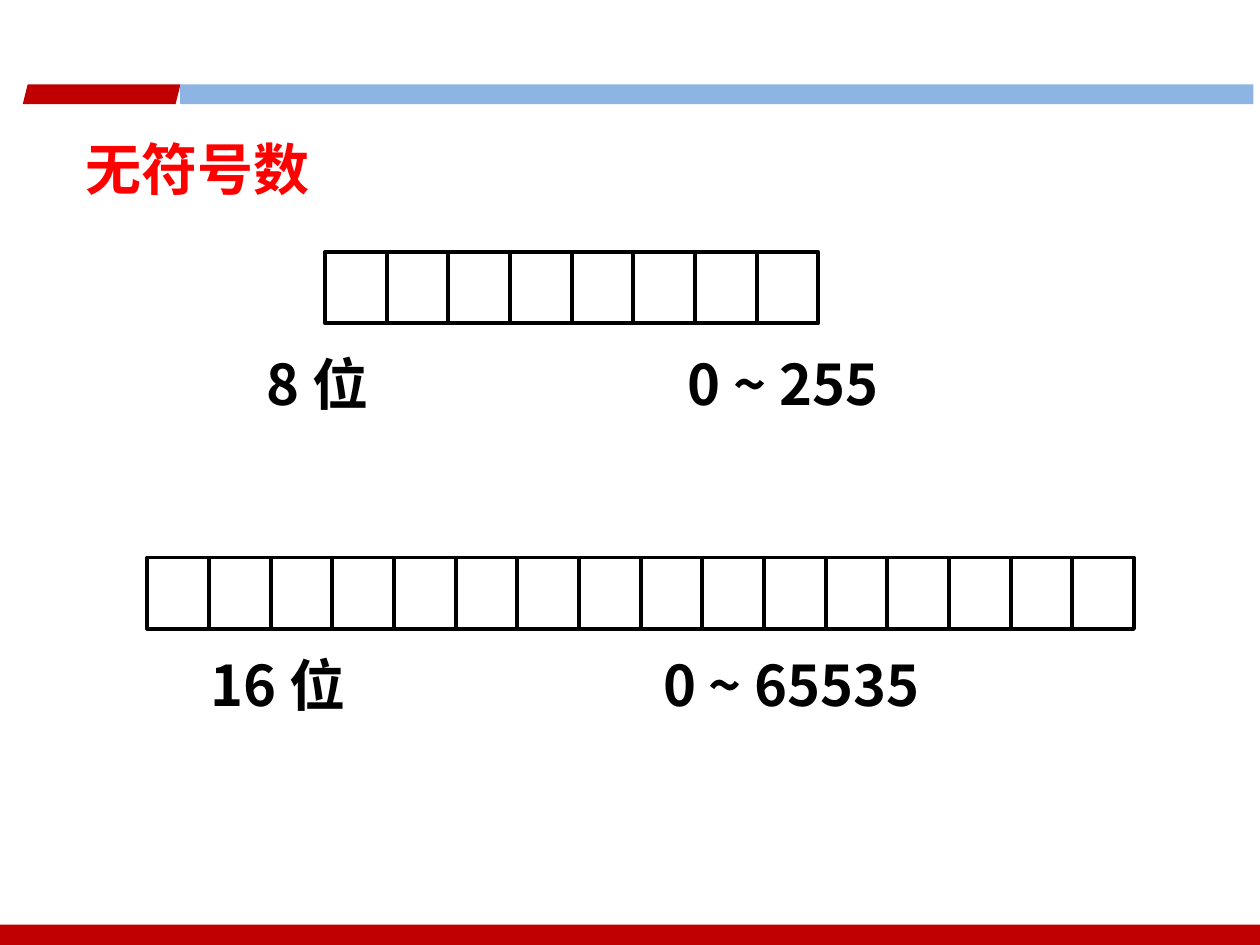
from lxml import etree
from pptx import Presentation
from pptx.dml.color import RGBColor
from pptx.enum.shapes import MSO_SHAPE
from pptx.oxml.ns import qn
from pptx.util import Cm, Pt

RECTANGLE = MSO_SHAPE.RECTANGLE
PARALLELOGRAM = MSO_SHAPE.PARALLELOGRAM
DARK_RED = RGBColor(0xC0, 0x00, 0x00)
LIGHT_BLUE = RGBColor(0x8E, 0xB4, 0xE3)
RED = RGBColor(0xFF, 0x00, 0x00)
BLACK = RGBColor(0x00, 0x00, 0x00)
FONT = "Noto Sans CJK SC"

presentation = Presentation()
presentation.slide_width = Cm(25.4)
presentation.slide_height = Cm(19.05)
slide = presentation.slides.add_slide(presentation.slide_layouts[6])


def add_bar(kind, left, top, width, height, color):
    shape = slide.shapes.add_shape(kind, Cm(left), Cm(top), Cm(width), Cm(height))
    shape.shadow.inherit = False
    shape.fill.solid()
    shape.fill.fore_color.rgb = color
    shape.line.fill.background()
    return shape


def add_text(text, left, top, width, color, tab=None):
    box = slide.shapes.add_textbox(Cm(left), Cm(top), Cm(width), Cm(1.62))
    box.text_frame.word_wrap = True
    paragraph = box.text_frame.paragraphs[0]
    paragraph.text = text
    properties = paragraph._p.get_or_add_pPr()
    if tab is not None:
        tabs = etree.SubElement(properties, qn("a:tabLst"))
        etree.SubElement(tabs, qn("a:tab"), pos=str(Cm(tab)), algn="l")
    font = paragraph.font
    font.size = Pt(32)
    font.bold = True
    font.color.rgb = color
    font.name = FONT
    # East Asian characters need their own typeface entry
    etree.SubElement(properties.find(qn("a:defRPr")), qn("a:ea"), typeface=FONT)


# Footer and header bars
add_bar(RECTANGLE, 0, 18.64, 25.4, 0.41, DARK_RED)
header_accent = add_bar(PARALLELOGRAM, 0.46, 1.7, 3.18, 0.4, DARK_RED)
header_accent.adjustments[0] = 0.25
add_bar(RECTANGLE, 3.63, 1.7, 21.64, 0.4, LIGHT_BLUE)

# Title
add_text("无符号数", 1.47, 2.59, 5.03, RED)

# Bit cells of each number: count, left, top
CELL_WIDTH, CELL_HEIGHT = 1.243, 1.44
for bit_count, left, top in [(8, 6.55, 5.08), (16, 2.97, 11.24)]:
    for bit in range(bit_count):
        cell = slide.shapes.add_shape(
            RECTANGLE, Cm(left + bit * CELL_WIDTH), Cm(top), Cm(CELL_WIDTH), Cm(CELL_HEIGHT))
        cell.shadow.inherit = False
        cell.fill.background()
        cell.line.color.rgb = BLACK
        cell.line.width = Pt(2.25)

# Width and value range of each number
add_text("8 位\t0 ~ 255", 5.13, 6.93, 16.26, BLACK, tab=8.48)
add_text("16 位\t0 ~ 65535", 3.99, 12.98, 19.4, BLACK, tab=9.13)

presentation.save("out.pptx")
